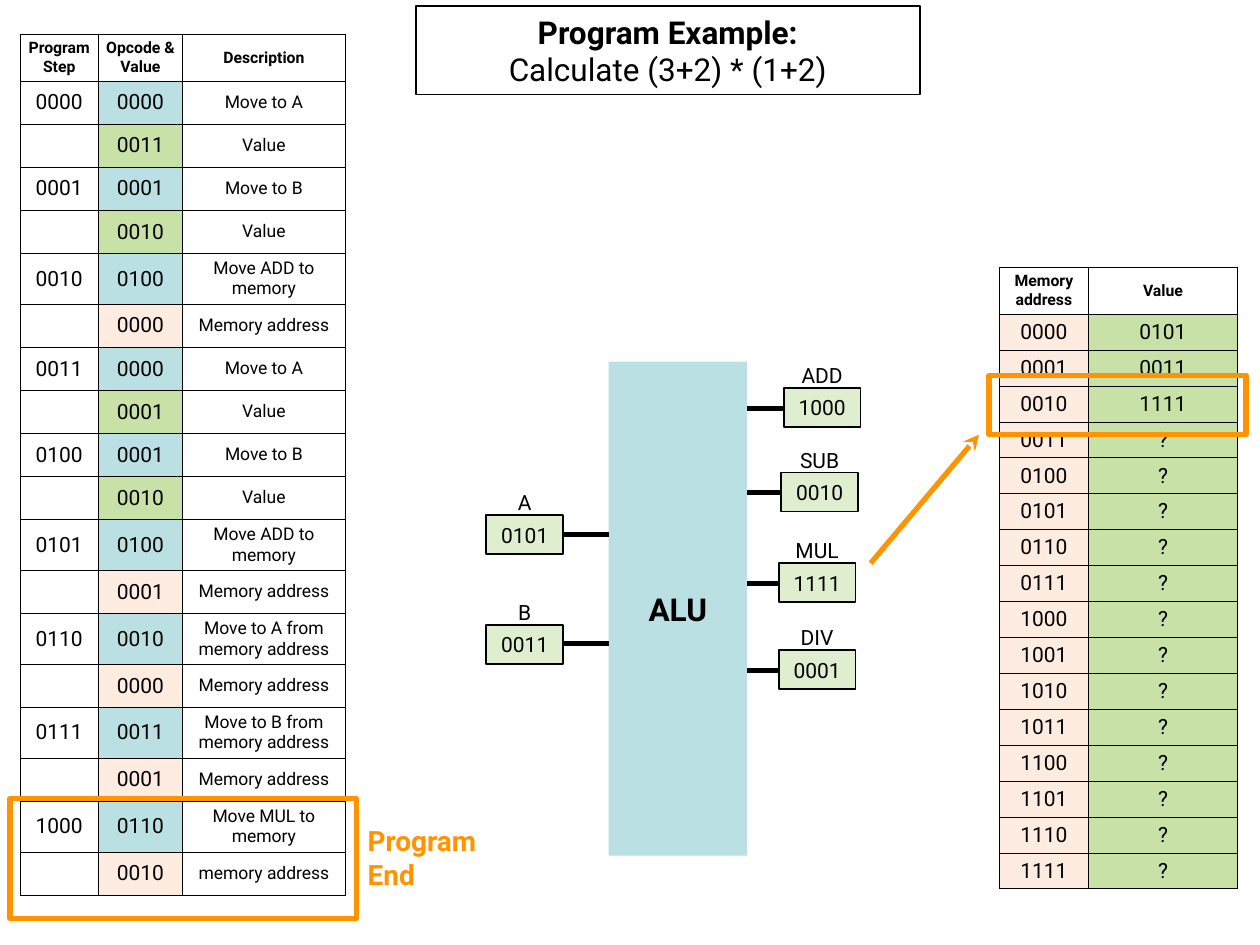
from lxml.etree import SubElement
from pptx import Presentation
from pptx.dml.color import RGBColor
from pptx.enum.shapes import MSO_CONNECTOR, MSO_SHAPE
from pptx.enum.text import MSO_ANCHOR as ANCHOR, PP_ALIGN as ALIGN
from pptx.oxml.ns import qn
from pptx.util import Inches, Pt

BLACK, ORANGE = "000000", "FF9300"
OPCODE, VALUE, ADDRESS, REGISTER = "BBE0E3", "C7E1A6", "FEECE0", "E0EED0"


def rgb(hex_color):
    return RGBColor.from_string(hex_color)


class SlideBuilder:
    font = "Roboto"

    def __init__(self, slide):
        self.s = slide

    def set_text(self, tf, lines, size, bold=False, color=BLACK, align=ALIGN.CENTER):
        """Fill a text frame with one paragraph for each line."""
        tf.word_wrap = True
        for i, line in enumerate(lines):
            p = tf.paragraphs[0] if i == 0 else tf.add_paragraph()
            p.alignment = align
            p.font.name, p.font.size, p.font.bold = self.font, Pt(size), bold
            p.font.color.rgb = rgb(color)
            if line:
                p.add_run().text = line

    def text(self, x, y, w, h, line, size, margin=0.0, **style):
        tf = self.s.shapes.add_textbox(*map(Inches, (x, y, w, h))).text_frame
        tf.margin_left = tf.margin_right = Inches(margin)
        self.set_text(tf, [line], size, **style)

    def box(self, x, y, w, h, fill=None, line=None, width=1):
        """Add a rectangle and return its text frame."""
        sp = self.s.shapes.add_shape(MSO_SHAPE.RECTANGLE, *map(Inches, (x, y, w, h)))
        sp.shadow.inherit = False
        if fill:
            sp.fill.solid()
            sp.fill.fore_color.rgb = rgb(fill)
        else:
            sp.fill.background()
        if line:
            sp.line.color.rgb = rgb(line)
            sp.line.width = Pt(width)
        else:
            sp.line.fill.background()
        tf = sp.text_frame
        tf.margin_left = tf.margin_right = 0
        tf.vertical_anchor = ANCHOR.MIDDLE
        return tf

    def line(self, x1, y1, x2, y2, color=BLACK, arrow=False):
        c = self.s.shapes.add_connector(MSO_CONNECTOR.STRAIGHT, *map(Inches, (x1, y1, x2, y2)))
        c.line.color.rgb = rgb(color)
        c.line.width = Pt(3)
        if arrow:
            SubElement(c.line._get_or_add_ln(), qn("a:tailEnd"), type="stealth")
        SubElement(c._element.spPr, qn("a:effectLst"))

    def register(self, x, y, name, value):
        """Add a named four-bit box."""
        self.text(x, y - 0.25, 0.61, 0.26, name, 12)
        self.set_text(self.box(x, y, 0.61, 0.31, REGISTER, BLACK), [value], 12)

    def cell(self, cell, text, size, bold, fill):
        cell.margin_left = cell.margin_right = Inches(0.04)
        cell.margin_top = cell.margin_bottom = Inches(0.04)
        cell.vertical_anchor = ANCHOR.MIDDLE
        tc_pr = cell._tc.get_or_add_tcPr()
        for side in "LRTB":
            ln = SubElement(tc_pr, qn(f"a:ln{side}"), w=str(Pt(0.5)))
            SubElement(SubElement(ln, qn("a:solidFill")), qn("a:srgbClr"), val=BLACK)
        if fill:
            cell.fill.solid()
            cell.fill.fore_color.rgb = rgb(fill)
        else:
            cell.fill.background()
        self.set_text(cell.text_frame, [text], size, bold)

    def table(self, x, y, widths, height, header, rows, sizes):
        """Add a table; each row is a list of (text, fill) pairs."""
        n = len(rows) + 1
        table = self.s.shapes.add_table(n, len(widths), Inches(x), Inches(y),
                                        Inches(sum(widths)), Inches(height)).table
        table.first_row = table.horz_banding = False
        for column, width in zip(table.columns, widths):
            column.width = Inches(width)
        for row in table.rows:
            row.height = Inches(height / n)
        for c, title in enumerate(header):
            self.cell(table.cell(0, c), title, 9, True, None)
        for r, row in enumerate(rows, 1):
            for c, (text, fill) in enumerate(row):
                self.cell(table.cell(r, c), text, sizes[c], False, fill)


# One program step: opcode, its description, operand, its description
PROGRAM = [
    ("0000", "Move to A", "0011", "Value"),
    ("0001", "Move to B", "0010", "Value"),
    ("0100", "Move ADD to memory", "0000", "Memory address"),
    ("0000", "Move to A", "0001", "Value"),
    ("0001", "Move to B", "0010", "Value"),
    ("0100", "Move ADD to memory", "0001", "Memory address"),
    ("0010", "Move to A from memory address", "0000", "Memory address"),
    ("0011", "Move to B from memory address", "0001", "Memory address"),
    ("0110", "Move MUL to memory", "0010", "memory address"),
]
STORED = ["0101", "0011", "1111"]
INPUTS = [(4.09, "A", "0101"), (4.96, "B", "0011")]
OUTPUTS = [(6.22, 3.08, "ADD", "1000"), (6.2, 3.75, "SUB", "0010"),
           (6.18, 4.47, "MUL", "1111"), (6.18, 5.16, "DIV", "0001")]


def program_rows():
    rows = []
    for i, (opcode, action, operand, kind) in enumerate(PROGRAM):
        operand_fill = VALUE if kind == "Value" else ADDRESS
        rows.append([(f"{i:04b}", None), (opcode, OPCODE), (action, None)])
        rows.append([("", None), (operand, operand_fill), (kind, None)])
    return rows


def memory_rows():
    values = STORED + ["?"] * (16 - len(STORED))
    return [[(f"{i:04b}", ADDRESS), (value, VALUE)] for i, value in enumerate(values)]


def main():
    prs = Presentation()
    prs.slide_width, prs.slide_height = Inches(10), Inches(7.5)
    b = SlideBuilder(prs.slides.add_slide(prs.slide_layouts[6]))

    b.table(0.16, 0.27, [0.62, 0.67, 1.29], 6.5,
            ["Program Step", "Opcode & Value", "Description"], program_rows(), [12, 12, 10])
    b.table(7.93, 2.12, [0.71, 1.18], 4.85,
            ["Memory address", "Value"], memory_rows(), [12, 12])

    title = b.box(3.3, 0.05, 4, 0.7, line=BLACK)
    b.set_text(title, ["Program Example:", "Calculate (3+2) * (1+2)"], 18)
    title.paragraphs[0].font.bold = True

    b.set_text(b.box(4.83, 2.87, 1.1, 3.92, OPCODE), ["ALU"], 18, bold=True)
    for y, name, value in INPUTS:
        b.register(3.86, y, name, value)
        b.line(4.47, y + 0.15, 4.83, y + 0.15)
    for x, y, name, value in OUTPUTS:
        b.register(x, y, name, value)
        b.line(5.93, y + 0.16, x, y + 0.16)

    b.box(0.08, 6.34, 2.75, 0.95, line=ORANGE, width=3)
    b.box(7.85, 2.98, 2.04, 0.47, line=ORANGE, width=3)
    b.line(6.91, 4.47, 7.77, 3.45, ORANGE, arrow=True)
    b.text(2.82, 6.49, 1.22, 0.71, "Program End", 16, margin=0.1,
           bold=True, color="FF9400", align=ALIGN.LEFT)

    prs.save("out.pptx")


if __name__ == "__main__":
    main()
